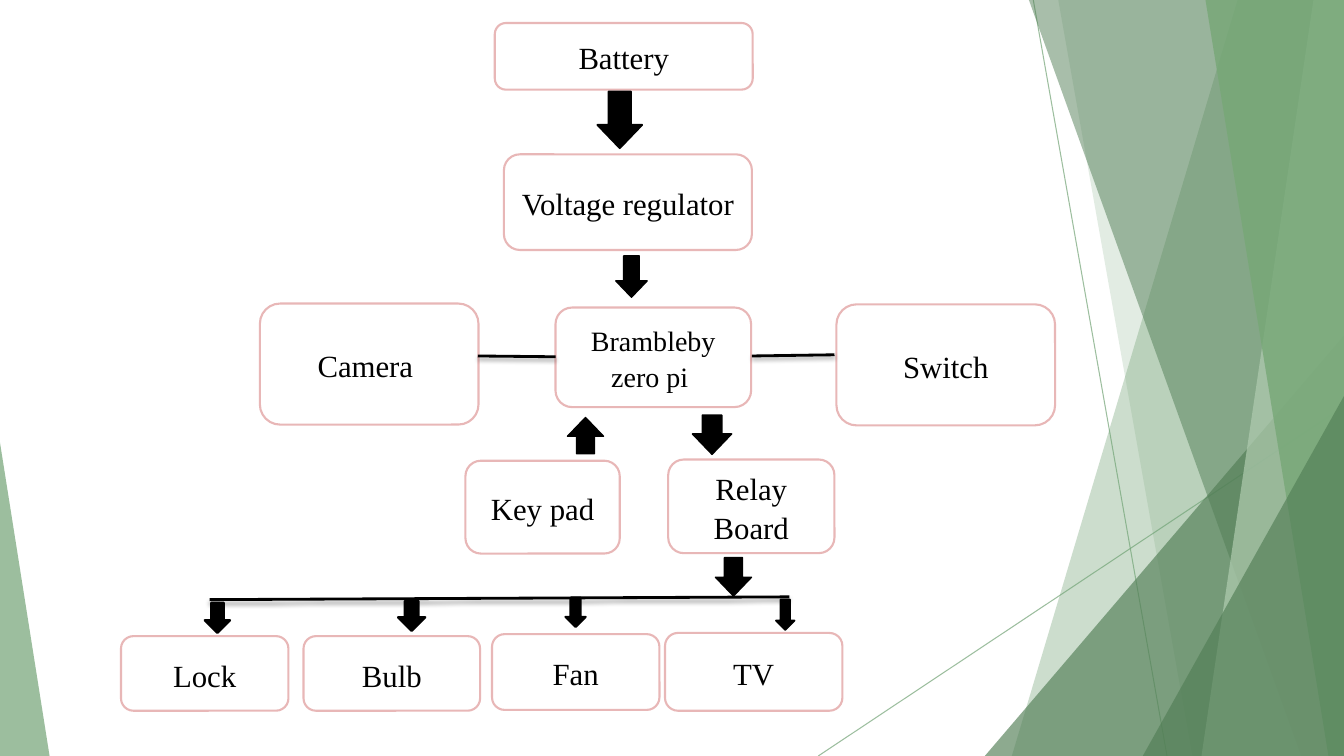
from lxml import etree
from pptx import Presentation
from pptx.dml.color import RGBColor
from pptx.enum.shapes import MSO_CONNECTOR, MSO_SHAPE
from pptx.enum.text import MSO_ANCHOR, PP_ALIGN
from pptx.oxml.ns import qn
from pptx.util import Cm, Pt

STRAIGHT = MSO_CONNECTOR.STRAIGHT
ROUNDED, DOWN, TRIANGLE = (MSO_SHAPE.ROUNDED_RECTANGLE, MSO_SHAPE.DOWN_ARROW,
                           MSO_SHAPE.ISOSCELES_TRIANGLE)
CENTER, MIDDLE = PP_ALIGN.CENTER, MSO_ANCHOR.MIDDLE

SLIDE_W, SLIDE_H = 33.87, 19.05
THEME = {
    "font": "Times New Roman", "label": 22, "small": 20,
    "ink": "000000", "paper": "FFFFFF", "border": "E8B7B7",
    "green": "72A376", "dark": "527E56", "pale": "B0CCB0", "leaf": "76A776",
}

# Content, in cm: label, left, top, width, height, type size
BLOCKS = [
    ("Battery", 12.47, 0.58, 6.5, 1.68, "label"),
    ("Voltage regulator", 12.7, 3.89, 6.25, 2.41, "label"),
    ("Brambleby zero pi ", 14, 7.75, 4.93, 2.51, "small"),
    ("Camera ", 6.55, 7.65, 5.51, 3.05, "label"),
    ("Switch", 21.08, 7.67, 5.51, 3.05, "label"),
    ("Key pad", 11.73, 11.61, 3.89, 2.34, "label"),
    ("Relay Board", 16.84, 11.58, 4.19, 2.36, "label"),
    ("Lock", 3.05, 16.03, 4.22, 1.88, "label"),
    ("Bulb", 7.65, 16.03, 4.45, 1.88, "label"),
    ("Fan", 12.4, 15.98, 4.22, 1.91, "label"),
    ("TV", 16.76, 15.95, 4.47, 1.96, "label"),
]
# Left, top, width, height, head ratio, line width, rotation
ARROWS = [
    (15.06, 2.31, 1.12, 1.42, 0.52, 1.5, 0),
    (15.52, 6.45, 0.79, 1.04, 0.52, 1, 0),
    (14.3, 10.52, 0.91, 0.91, 0.52, 1, 180),
    (17.45, 10.46, 0.99, 0.99, 0.52, 1, 0),
    (18.03, 14.05, 0.91, 0.97, 0.52, 1, 0),
    (5.16, 15.19, 0.64, 0.76, 0.5, 1.5, 0),
    (10.03, 15.14, 0.69, 0.76, 0.5, 1.5, 0),
    (14.25, 15.06, 0.51, 0.74, 0.5, 1.5, 0),
    (19.56, 15.11, 0.46, 0.76, 0.5, 1.5, 0),
]
# Camera link, switch link, output bus: from x, y to x, y
WIRES = [(12.04, 8.97, 14, 8.99), (18.95, 8.97, 21.03, 8.94),
         (5.28, 15.11, 19.89, 15.04)]
HAIRLINES = [(26.04, 0, 29.41, SLIDE_H), (SLIDE_W, 10.24, 20.62, SLIDE_H)]
# Facets fill from a slanted left edge to the right side: top x, bottom x
# Corners are triangles standing on the bottom: left, top, width, apex
FACET, CORNER = "facet", "corner"
BACKDROP = [
    (FACET, (31.19, 25.5), "green", 36),
    (FACET, (26.67, 30.05), "green", 20),
    (CORNER, (24.82, 8.46, 9.05, 1), "dark", 66),
    (FACET, (25.93, 32.79), "dark", 50),
    (FACET, (33.1, 30.28), "pale", 70),
    (FACET, (30.38, 33.48), "leaf", 80),
    (CORNER, (28.8, 9.98, 5.07, 1), "dark", 66),
    (CORNER, (0, 11.15, 1.25, 0), "green", 70),
]

prs = Presentation()
prs.slide_width, prs.slide_height = Cm(SLIDE_W), Cm(SLIDE_H)
shapes = prs.slides.add_slide(prs.slide_layouts[6]).shapes


def color(key):
    return RGBColor.from_string(THEME[key])


def apply(target, values):
    for name, value in values.items():
        setattr(target, name, value)


def fade(fill_owner, percent):
    rgb = next(fill_owner.iter(qn("a:srgbClr")))
    etree.SubElement(rgb, qn("a:alpha"), val=str(percent * 1000))


def paint(shape, fill, line=None, width=0):
    shape.shadow.inherit = False
    shape.fill.solid()
    shape.fill.fore_color.rgb = color(fill)
    if line:
        shape.line.color.rgb = color(line)
        shape.line.width = Pt(width)
    else:
        shape.line.fill.background()


def draw_line(ends, key, width):
    line = shapes.add_connector(STRAIGHT, *map(Cm, ends))
    line.line.color.rgb = color(key)
    line.line.width = Pt(width)
    effects = etree.SubElement(line.element.spPr, qn("a:effectLst"))
    return line, effects


# Green backdrop
for ends in HAIRLINES:
    hairline, _ = draw_line(ends, "green", 0.75)
    fade(hairline.element.spPr, 70)

for kind, geometry, key, opacity in BACKDROP:
    if kind == FACET:
        top_x, bottom_x = geometry
        outline = shapes.build_freeform(Cm(top_x), 0)
        outline.add_line_segments([(Cm(x), Cm(y)) for x, y in (
            (SLIDE_W, 0), (SLIDE_W, SLIDE_H), (bottom_x, SLIDE_H))])
        pane = outline.convert_to_shape()
    else:
        left, top, width, apex = geometry
        pane = shapes.add_shape(TRIANGLE, Cm(left), Cm(top), Cm(width), Cm(SLIDE_H - top))
        pane.adjustments[0] = apex
    paint(pane, key)
    fade(pane.element.spPr, opacity)

# Labelled blocks
for label, left, top, width, height, size in BLOCKS:
    block = shapes.add_shape(ROUNDED, Cm(left), Cm(top), Cm(width), Cm(height))
    paint(block, "paper", "border", 1.5)
    frame = block.text_frame
    apply(frame, {"text": label, "word_wrap": True, "vertical_anchor": MIDDLE})
    paragraph = frame.paragraphs[0]
    apply(paragraph, {"alignment": CENTER, "line_spacing": 1.07, "space_after": Pt(8)})
    font = paragraph.runs[0].font
    apply(font, {"name": THEME["font"], "size": Pt(THEME[size])})
    font.color.rgb = color("ink")

# Wires with a soft shadow below
for ends in WIRES:
    _, effects = draw_line(ends, "ink", 2)
    shadow = etree.SubElement(effects, qn("a:outerShdw"), blurRad=str(Pt(3)),
                              dist=str(Pt(2)), dir="5400000", rotWithShape="0")
    etree.SubElement(shadow, qn("a:srgbClr"), val=THEME["ink"])
    fade(shadow, 35)

# Flow arrows
for left, top, width, height, head, weight, turn in ARROWS:
    arrow = shapes.add_shape(DOWN, Cm(left), Cm(top), Cm(width), Cm(height))
    arrow.adjustments[1] = head
    arrow.rotation = turn
    paint(arrow, "ink", "ink", weight)

prs.save("out.pptx")
